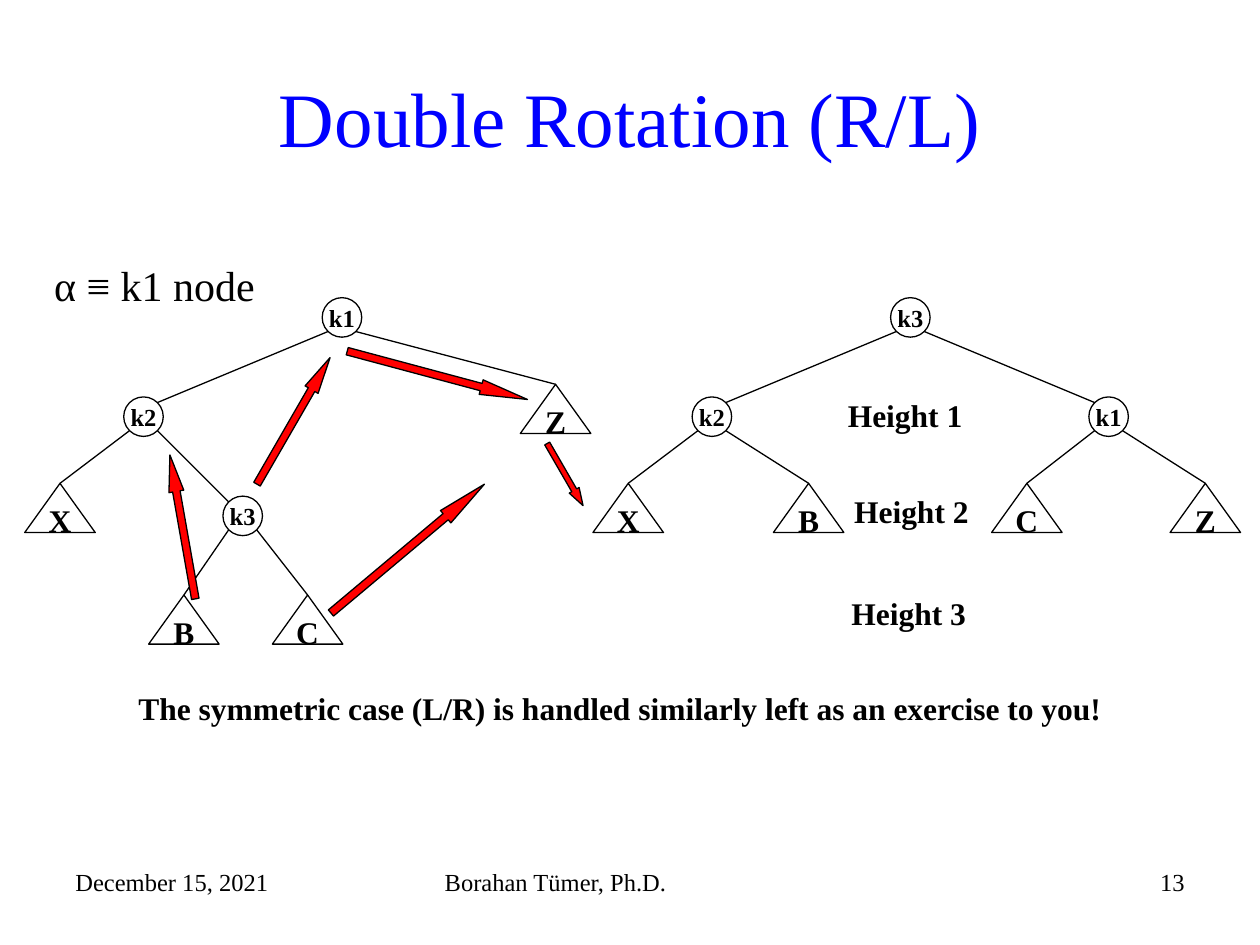
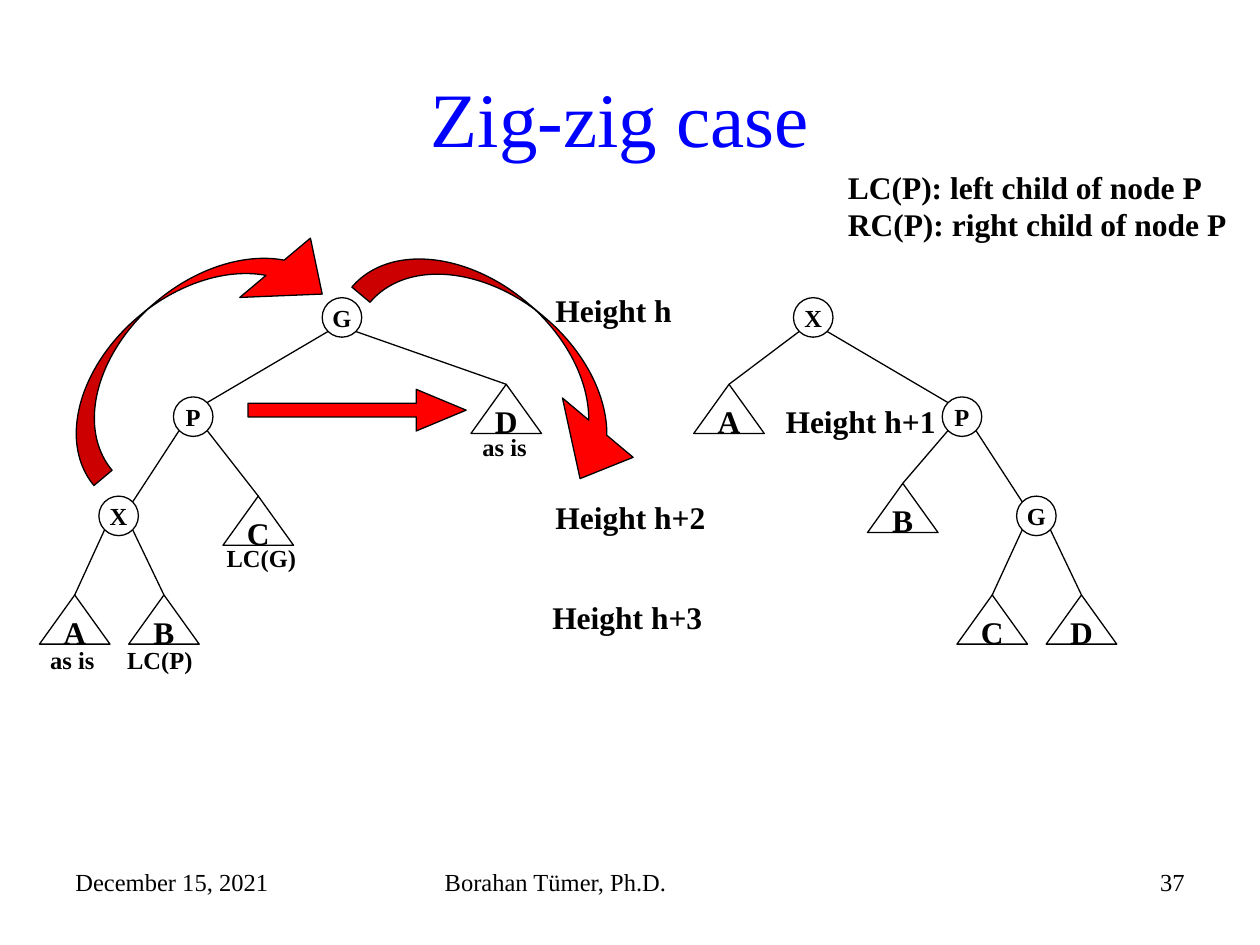
"""Build two slides on tree rotations: the double rotation and the zig-zig case."""
from dataclasses import dataclass
from typing import Optional

from lxml.etree import SubElement
from pptx import Presentation
from pptx.dml.color import RGBColor
from pptx.enum.shapes import MSO_CONNECTOR as Connector, MSO_SHAPE as Shape
from pptx.enum.text import MSO_ANCHOR as Anchor, MSO_AUTO_SIZE as AutoSize, PP_ALIGN as Align
from pptx.oxml.ns import qn
from pptx.util import Pt

BLACK = RGBColor(0, 0, 0)
BLUE = RGBColor(0, 0, 255)
RED = RGBColor(255, 0, 0)
FONT = "Times New Roman"
LINE_WIDTH = 0.75
CIRCLE = 22.6
LEAF_WIDTH, LEAF_HEIGHT = 40.3, 28.1
EDGE_OFFSET = 8.1
CIRCLE_ROWS = [181.4 + 56.7 * level for level in range(3)]
LEAF_ROWS = [219.6, 276.2, 340]
FOOTER_TOP, FOOTER_HEIGHT = 491.8, 37.4
CURVE = [0.235, 0.916, 0.5]


@dataclass
class Node:
    """An inner node, centred at x, y."""
    label: str
    x: float
    y: float
    left: Optional[object] = None
    right: Optional[object] = None


@dataclass
class Leaf:
    """A subtree whose triangle has its tip at x, y."""
    label: str
    x: float
    y: float


def style_text(frame, size, bold=False, align=Align.LEFT, color=BLACK):
    """Format all text in a frame."""
    for para in frame.paragraphs:
        para.alignment = align
        for span in para.runs:
            span.font.name = FONT
            span.font.size = Pt(size)
            span.font.bold = bold
            span.font.color.rgb = color


def add_title(page, text):
    """Fill and place the title placeholder."""
    title = page.shapes.title
    title.left, title.top, title.width, title.height = Pt(36), Pt(21.6), Pt(648), Pt(90)
    frame = title.text_frame
    frame.text = text
    frame.vertical_anchor = Anchor.MIDDLE
    style_text(frame, 44, align=Align.CENTER, color=BLUE)


def add_footer(page, number):
    """Add the date, author and slide number."""
    for left, width, text, align in [
        (36, 168, "December 15, 2021", Align.LEFT),
        (247, 228, "Borahan Tümer, Ph.D.", Align.LEFT),
        (516, 168, str(number), Align.RIGHT),
    ]:
        box = page.shapes.add_textbox(Pt(left), Pt(FOOTER_TOP), Pt(width), Pt(FOOTER_HEIGHT))
        box.text_frame.word_wrap = True
        box.text_frame.text = text
        style_text(box.text_frame, 14, align=align)


def add_label(page, text, left, top, width, size=18, bold=True):
    """Add text on unwrapped lines."""
    lines = text.count("\n") + 1
    box = page.shapes.add_textbox(Pt(left), Pt(top), Pt(width), Pt(lines * size * 1.2 + 7.2))
    frame = box.text_frame
    frame.text = text
    frame.word_wrap = False
    frame.auto_size = AutoSize.SHAPE_TO_FIT_TEXT
    style_text(frame, size, bold)


def add_outlined(page, kind, left, top, width, height, fill=None):
    """Add a black-outlined preset shape."""
    shape = page.shapes.add_shape(kind, Pt(left), Pt(top), Pt(width), Pt(height))
    shape.shadow.inherit = False
    shape.line.color.rgb = BLACK
    shape.line.width = Pt(LINE_WIDTH)
    if fill is None:
        shape.fill.background()
    else:
        shape.fill.solid()
        shape.fill.fore_color.rgb = fill
    return shape


def add_arrow(page, kind, left, top, width, height, rotation, adjustments):
    """Add a red block arrow."""
    arrow = add_outlined(page, kind, left, top, width, height, RED)
    arrow.rotation = rotation
    for index, value in enumerate(adjustments):
        arrow.adjustments[index] = value


def add_edge(page, start, end):
    """Join two points by a thin line."""
    edge = page.shapes.add_connector(Connector.STRAIGHT, *(Pt(value) for value in start + end))
    edge.line.color.rgb = BLACK
    edge.line.width = Pt(LINE_WIDTH)
    SubElement(edge._element.spPr, qn("a:effectLst"))


def write_inside(shape, text, size):
    """Centre a bold label in a shape."""
    frame = shape.text_frame
    frame.text = text
    frame.word_wrap = False
    frame.vertical_anchor = Anchor.MIDDLE
    style_text(frame, size, True, Align.CENTER)
    return frame


def add_leaf(page, leaf):
    """Draw a subtree triangle."""
    triangle = add_outlined(page, Shape.ISOSCELES_TRIANGLE, leaf.x - LEAF_WIDTH / 2, leaf.y,
                            LEAF_WIDTH, LEAF_HEIGHT)
    write_inside(triangle, leaf.label, 18)


def add_tree(page, node):
    """Draw a node, its edges and everything below it."""
    if isinstance(node, Leaf):
        add_leaf(page, node)
        return
    circle = add_outlined(page, Shape.OVAL, node.x - CIRCLE / 2, node.y - CIRCLE / 2,
                          CIRCLE, CIRCLE)
    frame = write_inside(circle, node.label, 14)
    frame.margin_left = frame.margin_right = frame.margin_top = frame.margin_bottom = 0
    for child, side in [(node.left, -EDGE_OFFSET), (node.right, EDGE_OFFSET)]:
        end = (child.x, child.y)
        if isinstance(child, Node):
            end = (child.x - side, child.y - EDGE_OFFSET)
        add_edge(page, (node.x + side, node.y + EDGE_OFFSET), end)
        add_tree(page, child)


def start_slide(deck, title, number):
    """Add a slide with its title and footer."""
    page = deck.slides.add_slide(deck.slide_layouts[5])
    add_title(page, title)
    add_footer(page, number)
    return page


def build_double_rotation(deck):
    """Show the right-left double rotation."""
    page = start_slide(deck, "Double Rotation (R/L)", 13)
    top, middle, low = CIRCLE_ROWS
    high_leaf, middle_leaf, low_leaf = LEAF_ROWS
    before = Node(
        "k1", 195.4, top,
        Node("k2", 82, middle, Leaf("X", 34.3, middle_leaf),
             Node("k3", 138.7, low, Leaf("B", 105.1, low_leaf), Leaf("C", 175.8, low_leaf))),
        Leaf("Z", 317.5, high_leaf))
    after = Node(
        "k3", 520.2, top,
        Node("k2", 406.8, middle, Leaf("X", 359, middle_leaf), Leaf("B", 462.1, middle_leaf)),
        Node("k1", 633.5, middle, Leaf("C", 586.8, middle_leaf), Leaf("Z", 688.8, middle_leaf)))
    for tree in (before, after):
        add_tree(page, tree)
    for left, top, width, height, rotation, head in [
        (196.6, 210.2, 106.6, 8.6, 15, 3.187),
        (126, 236.2, 83.5, 8.6, 300, 2.46),
        (62.6, 296.8, 83.5, 8.6, 260, 2.46),
        (175.7, 308.9, 114.5, 9.2, 320, 3.137),
        (302.4, 268, 41, 6.5, 60, 1.557),
    ]:
        add_arrow(page, Shape.RIGHT_ARROW, left, top, width, height, rotation, [0.5, head])
    for level, (left, top) in enumerate([(477.4, 222.5), (481, 277.9), (479.5, 336.2)], 1):
        add_label(page, f"Height {level}", left, top, 80)
    add_label(page, "The symmetric case (L/R) is handled similarly left as an exercise to you!",
              72, 390.2, 565)
    add_label(page, "α ≡ k1 node", 23.8, 144.7, 129, 24, False)


def build_zig_zig(deck):
    """Show the zig-zig case."""
    page = start_slide(deck, "Zig-zig case ", 37)
    top, middle, low = CIRCLE_ROWS
    high_leaf, middle_leaf, low_leaf = LEAF_ROWS
    before = Node(
        "G", 195.4, top,
        Node("P", 110.4, middle,
             Node("X", 67.8, low, Leaf("A", 42.7, low_leaf), Leaf("B", 93.7, low_leaf)),
             Leaf("C", 147.6, 283.5)),
        Leaf("D", 289.3, high_leaf))
    after = Node(
        "X", 464.7, top,
        Leaf("A", 416.6, high_leaf),
        Node("P", 549.7, middle, Leaf("B", 515.9, middle_leaf),
             Node("G", 592.2, low, Leaf("C", 567, low_leaf), Leaf("D", 618, low_leaf))))
    for tree in (before, after):
        add_tree(page, tree)
    for left, top, rotation in [(12.2, 163.4, 320), (196.6, 176.4, 40)]:
        add_arrow(page, Shape.CURVED_DOWN_ARROW, left, top, 196.6, 57.6, rotation, CURVE)
    add_arrow(page, Shape.RIGHT_ARROW, 141.8, 222.5, 124.6, 23.8, 0, [0.327, 1.199])
    for text, left, top, width in [
        ("Height h", 310.3, 162.7, 81),
        ("Height h+1", 441.8, 226.1, 101),
        ("Height h+2", 310.3, 280.8, 101),
        ("Height h+3", 308.5, 338.4, 101),
        ("LC(P): left child of node P\nRC(P): right child of node P", 477.4, 92.2, 231),
    ]:
        add_label(page, text, left, top, width)
    for text, left, top, width in [
        ("as is", 21.6, 365, 39.6),
        ("LC(P)", 65.5, 365, 51.8),
        ("LC(G)", 122.4, 306.7, 54),
        ("as is", 268.6, 243.4, 39.6),
    ]:
        add_label(page, text, left, top, width, 14)


def main():
    """Build and save the deck."""
    deck = Presentation()
    deck.slide_width, deck.slide_height = Pt(720), Pt(540)
    build_double_rotation(deck)
    build_zig_zig(deck)
    deck.save("out.pptx")


if __name__ == "__main__":
    main()
